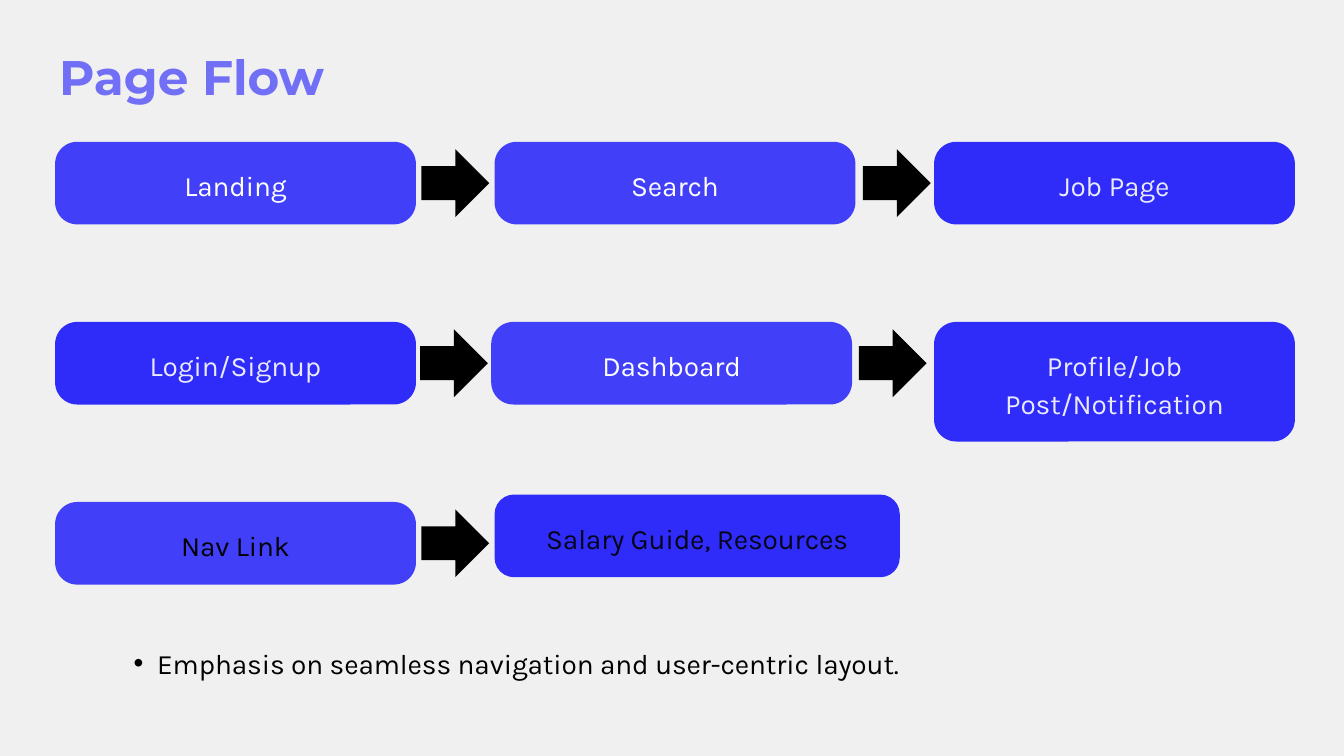
import lxml.etree
import pptx
import pptx.dml.color
import pptx.enum.shapes
import pptx.enum.text
import pptx.oxml.ns
import pptx.util

RGBColor = pptx.dml.color.RGBColor
BACKGROUND = RGBColor(0xF0, 0xF0, 0xF0)
BLUE = RGBColor(0x2F, 0x2C, 0xF9)
TITLE_BLUE = RGBColor(0x71, 0x6F, 0xF6)
WHITE = RGBColor(0xFF, 0xFF, 0xFF)
BLACK = RGBColor(0x00, 0x00, 0x00)

COLUMNS, ROWS = 20, 11.25
LEFT, TOP = 0.82, 2.11
COLUMN_STEP, ROW_STEP = 6.54, 2.68
BOX_WIDTH, BOX_HEIGHT = 5.37, 1.23
TEXT_TOP = 0.34
CORNER_INSET = 0.29
ARROW_SIZE, ARROW_DROP = 1.01, 0.11


class FlowSlide:
    body_font = "Karla"
    title_font = "Montserrat"
    body_size = 30
    body_spacing = 40.2

    def __init__(self, presentation):
        self.slide = presentation.slides.add_slide(presentation.slide_layouts[6])
        self.column = presentation.slide_width / COLUMNS
        self.row = presentation.slide_height / ROWS
        self.slide.background.fill.solid()
        self.slide.background.fill.fore_color.rgb = BACKGROUND

    def place(self, left, top, width, height):
        return (int(left * self.column), int(top * self.row),
                int(width * self.column), int(height * self.row))

    def set_opacity(self, fill, percent):
        color = fill._xPr.find(".//" + pptx.oxml.ns.qn("a:srgbClr"))
        alpha = lxml.etree.SubElement(color, pptx.oxml.ns.qn("a:alpha"))
        alpha.set("val", str(percent * 1000))

    def paint(self, fill, color, opacity=100):
        fill.solid()
        fill.fore_color.rgb = color
        if opacity < 100:
            self.set_opacity(fill, opacity)

    def set_text(self, shape, text, color, opacity=100):
        frame = shape.text_frame
        frame.word_wrap = True
        frame.vertical_anchor = pptx.enum.text.MSO_ANCHOR.TOP
        frame.margin_left = frame.margin_right = 0
        frame.margin_top = frame.margin_bottom = 0
        frame.text = text
        paragraph = frame.paragraphs[0]
        paragraph.alignment = pptx.enum.text.PP_ALIGN.CENTER
        paragraph.line_spacing = pptx.util.Pt(self.body_spacing)
        font = paragraph.runs[0].font
        font.name = self.body_font
        font.size = pptx.util.Pt(self.body_size)
        font._element.set("spc", "-10")
        self.paint(font.fill, color, opacity)
        return paragraph

    def add_preset(self, kind, area, color, opacity=100):
        shape = self.slide.shapes.add_shape(kind, *self.place(*area))
        shape.shadow.inherit = False
        shape.line.fill.background()
        self.paint(shape.fill, color, opacity)
        return shape

    def add_box(self, text, left, top, fill_opacity, text_color, text_opacity,
                width=BOX_WIDTH, height=BOX_HEIGHT, radius=0.33):
        kind = pptx.enum.shapes.MSO_SHAPE.ROUNDED_RECTANGLE
        shape = self.add_preset(kind, (left, top, width, height), BLUE, fill_opacity)
        shape.adjustments[0] = radius / height
        self.set_text(shape, text, text_color, text_opacity)
        shape.text_frame.margin_top = int((TEXT_TOP - CORNER_INSET * radius) * self.row)

    def add_arrow(self, left, top):
        kind = pptx.enum.shapes.MSO_SHAPE.RIGHT_ARROW
        self.add_preset(kind, (left, top, ARROW_SIZE, ARROW_SIZE), BLACK)

    def add_title(self, text, *area):
        box = self.slide.shapes.add_textbox(*self.place(*area))
        paragraph = self.set_text(box, text, TITLE_BLUE)
        paragraph.alignment = pptx.enum.text.PP_ALIGN.LEFT
        paragraph.line_spacing = pptx.util.Pt(59.8)
        font = paragraph.runs[0].font
        font.name = self.title_font
        font.size = pptx.util.Pt(52)
        font.bold = True
        font._element.set("spc", "0")

    def add_bullet(self, text, *area):
        box = self.slide.shapes.add_textbox(*self.place(*area))
        paragraph = self.set_text(box, text, BLACK)
        paragraph.level = 1
        properties = paragraph._p.get_or_add_pPr()
        properties.set("marL", str(int(0.71 * self.column)))
        properties.set("indent", str(int(-0.35 * self.column)))
        font = lxml.etree.SubElement(properties, pptx.oxml.ns.qn("a:buFont"))
        font.set("typeface", "Arial")
        bullet = lxml.etree.SubElement(properties, pptx.oxml.ns.qn("a:buChar"))
        bullet.set("char", "•")


def main():
    presentation = pptx.Presentation()
    presentation.slide_width = pptx.util.Inches(COLUMNS)
    presentation.slide_height = pptx.util.Inches(ROWS)
    page = FlowSlide(presentation)

    columns = [LEFT + COLUMN_STEP * index for index in range(3)]
    rows = [TOP + ROW_STEP * index for index in range(3)]

    page.add_title("Page Flow", 0.88, 0.74, 4.23, 0.82)

    page.add_box("Landing", columns[0], rows[0], 90, WHITE, 100)
    page.add_box("Search", columns[1], rows[0], 90, WHITE, 100)
    page.add_box("Job Page", columns[2], rows[0], 100, WHITE, 90)
    page.add_box("Login/Signup", columns[0], rows[1], 100, WHITE, 90)
    page.add_box("Dashboard", columns[1] - 0.05, rows[1], 90, WHITE, 100)
    page.add_box("Profile/Job Post/Notification", columns[2], rows[1], 100, WHITE, 90,
                 height=1.78)
    page.add_box("Nav Link", columns[0], rows[2], 90, BLACK, 100)
    page.add_box("Salary Guide, Resources", columns[1], rows[2] - 0.11, 100, BLACK, 90,
                 width=6.03, radius=0.29)

    arrow_lefts = [(6.27, 12.84), (6.25, 12.78), (6.27,)]
    for top, lefts in zip(rows, arrow_lefts):
        for left in lefts:
            page.add_arrow(left, top + ARROW_DROP)

    page.add_bullet("Emphasis on seamless navigation and user-centric layout.",
                    1.16, 9.56, 12.69, 1.09)
    presentation.save("out.pptx")


if __name__ == "__main__":
    main()
